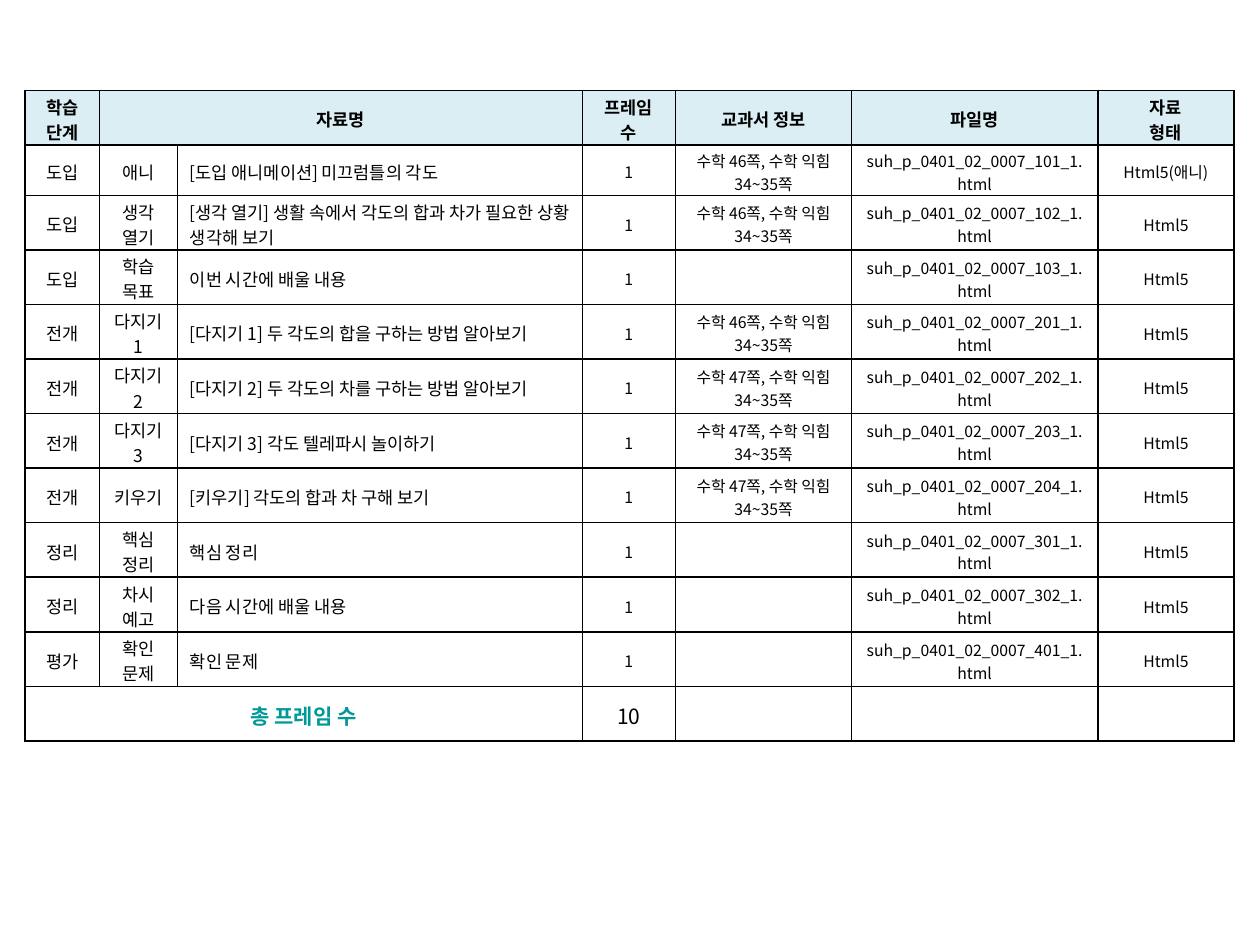
import pptx
import pptx.dml.color
import pptx.enum.text
import pptx.oxml.ns
import pptx.util
import lxml.etree

Pt = pptx.util.Pt
RGB = pptx.dml.color.RGBColor.from_string
ALIGN = pptx.enum.text.PP_ALIGN
qn = pptx.oxml.ns.qn

THEME = {
    "font": "Noto Sans CJK KR",
    "text": "000000",
    "border": "000000",
    "header": "DBEEF4",
    "total": "009999",
    "body_size": 10,
    "detail_size": 9,
    "total_size": 12,
}

HEADER = ["학습 단계", "자료명", "", "프레임 수", "교과서 정보", "파일명", "자료\n형태"]
LESSONS = [
    ("도입", "애니", "[도입 애니메이션] 미끄럼틀의 각도", 46, 101),
    ("도입", "생각 열기", "[생각 열기] 생활 속에서 각도의 합과 차가 필요한 상황 생각해 보기", 46, 102),
    ("도입", "학습 목표", "이번 시간에 배울 내용", None, 103),
    ("전개", "다지기1", "[다지기 1] 두 각도의 합을 구하는 방법 알아보기", 46, 201),
    ("전개", "다지기 2", "[다지기 2] 두 각도의 차를 구하는 방법 알아보기", 47, 202),
    ("전개", "다지기 3", "[다지기 3] 각도 텔레파시 놀이하기", 47, 203),
    ("전개", "키우기", "[키우기] 각도의 합과 차 구해 보기", 47, 204),
    ("정리", "핵심 정리", "핵심 정리", None, 301),
    ("정리", "차시 예고", "다음 시간에 배울 내용", None, 302),
    ("평가", "확인 문제", "확인 문제", None, 401),
]

COL_WIDTHS = [42.6, 44.6, 231.4, 53.2, 100.6, 140.8, 77.8]
ROW_HEIGHT = 31.2
FIRST_LESSON_HEIGHT = 28.8

rows = [HEADER]
for stage, step, title, page, number in LESSONS:
    textbook = f"수학 {page}쪽, 수학 익힘 34~35쪽" if page else ""
    filename = f"suh_p_0401_02_0007_{number}_1.html"
    form = "Html5(애니)" if step == "애니" else "Html5"
    rows.append([stage, step, title, "1", textbook, filename, form])
rows.append(["총 프레임 수", "", "", str(len(LESSONS)), "", "", ""])
last = len(rows) - 1
heights = [ROW_HEIGHT] * len(rows)
heights[1] = FIRST_LESSON_HEIGHT


def add_borders(cell):
    tcPr = cell._tc.get_or_add_tcPr()
    for i, side in enumerate(("a:lnL", "a:lnR", "a:lnT", "a:lnB")):
        ln = lxml.etree.Element(qn(side), w=str(Pt(1)))
        fill = lxml.etree.SubElement(ln, qn("a:solidFill"))
        lxml.etree.SubElement(fill, qn("a:srgbClr"), val=THEME["border"])
        tcPr.insert(i, ln)


def style_paragraph(p, size, color, bold, align):
    p.alignment = align
    p.font.size = Pt(size)
    p.font.bold = bold
    p.font.color.rgb = RGB(color)
    p.font.name = THEME["font"]
    defRPr = p._p.pPr.find(qn("a:defRPr"))
    lxml.etree.SubElement(defRPr, qn("a:ea"), typeface=THEME["font"])


prs = pptx.Presentation()
prs.slide_width = Pt(720)
prs.slide_height = Pt(540)
s = prs.slides.add_slide(prs.slide_layouts[6])

frame = s.shapes.add_table(
    len(rows), len(COL_WIDTHS), Pt(14.2), Pt(51.6), Pt(sum(COL_WIDTHS)), Pt(sum(heights))
)
table = frame.table
table.first_row = False
table.horz_banding = False
for col, width in zip(table.columns, COL_WIDTHS):
    col.width = Pt(width)
for row, height in zip(table.rows, heights):
    row.height = Pt(height)

for r, values in enumerate(rows):
    for c, value in enumerate(values):
        cell = table.cell(r, c)
        cell.text = value
        cell.vertical_anchor = pptx.enum.text.MSO_ANCHOR.MIDDLE
        cell.margin_left = cell.margin_right = Pt(7.2)
        cell.margin_top = Pt(2)
        cell.margin_bottom = Pt(0)
        if r == 0:
            cell.fill.solid()
            cell.fill.fore_color.rgb = RGB(THEME["header"])
        else:
            cell.fill.background()
        add_borders(cell)

        if r == last:
            size = THEME["total_size"]
        elif r == 0 or c < 3:
            size = THEME["body_size"]
        else:
            size = THEME["detail_size"]
        is_total = r == last and c == 0
        color = THEME["total"] if is_total else THEME["text"]
        align = ALIGN.LEFT if c == 2 and 0 < r < last else ALIGN.CENTER
        for p in cell.text_frame.paragraphs:
            style_paragraph(p, size, color, r == 0 or is_total, align)

table.cell(0, 1).merge(table.cell(0, 2))
table.cell(last, 0).merge(table.cell(last, 2))

prs.save("out.pptx")
